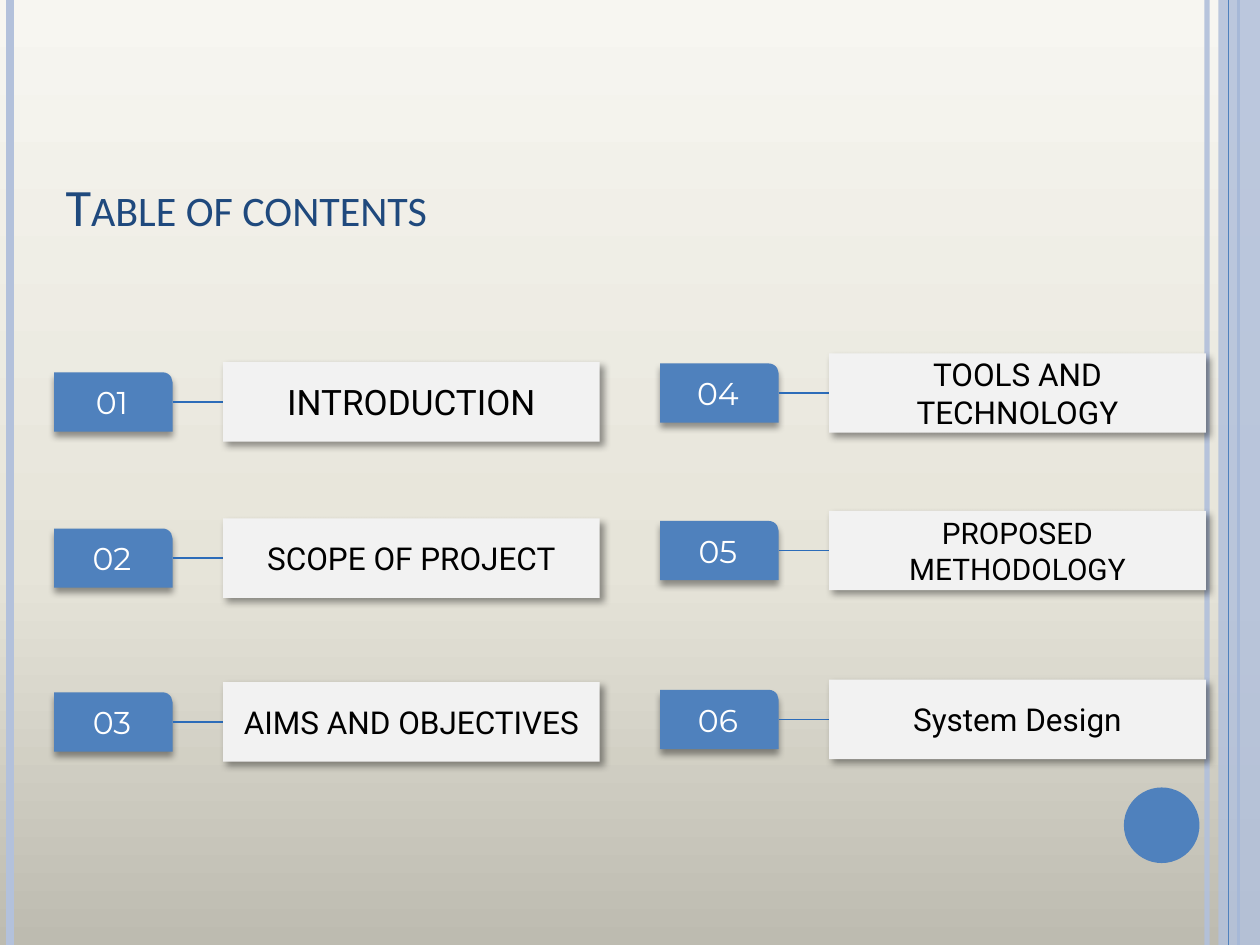
from copy import deepcopy

from pptx import Presentation
from pptx.dml.color import RGBColor
from pptx.enum import shapes as kinds, text
from pptx.oxml import parse_xml
from pptx.oxml.ns import nsdecls, qn
from pptx.util import Inches, Pt

BLUE = RGBColor(0x4F, 0x81, 0xBD)
PALE = RGBColor(0xB3, 0xC1, 0xDB)
LINK = RGBColor(0x2C, 0x6C, 0xB9)
NAVY = RGBColor(0x1F, 0x49, 0x7D)
GREY = RGBColor(0xF2, 0xF2, 0xF2)
WHITE = RGBColor(0xFF, 0xFF, 0xFF)
BLACK = RGBColor(0, 0, 0)

TITLE = "Table of contents"
# left edge of a column, then (number, topic, size, middle y) of each entry
COLUMNS = [
    (0.43, [("01", "INTRODUCTION", 20, 3.19),
            ("02", "SCOPE OF PROJECT", 18, 4.43),
            ("03", "AIMS AND OBJECTIVES", 18, 5.73)]),
    (5.24, [("04", "TOOLS AND TECHNOLOGY", 18, 3.12),
            ("05", "PROPOSED METHODOLOGY", 17, 4.37),
            ("06", "System Design", 18, 5.71)]),
]
BADGE = (0.94, 0.47)
BOX = (2.99, 0.63)
GAP = 0.4
SKY = [(0, "BDBBB0"), (0.4, "E6E4D9"), (1, "F7F6F1")]

deck = Presentation()
deck.slide_width, deck.slide_height = Inches(10), Inches(7.5)
slide = deck.slides.add_slide(deck.slide_layouts[5])
items = slide.shapes


def fade(color, alpha):
    """Make the last solid colour of an element partly transparent."""
    color.append(parse_xml(f'<a:alpha {nsdecls("a")} val="{alpha * 1000}"/>'))


def shade(shape, angle):
    """Give a shape a soft outer shadow."""
    shape._element.spPr.append(parse_xml(
        f'<a:effectLst {nsdecls("a")}><a:outerShdw blurRad="{Pt(4)}" '
        f'dist="{Pt(3)}" dir="{angle * 60000}" algn="tl" rotWithShape="0">'
        '<a:srgbClr val="000000"><a:alpha val="40000"/></a:srgbClr>'
        '</a:outerShdw></a:effectLst>'))


def add_line(x1, y1, x2, y2, color, width):
    line = items.add_connector(kinds.MSO_CONNECTOR.STRAIGHT, Inches(x1),
                               Inches(y1), Inches(x2), Inches(y2))
    line.line.color.rgb = color
    line.line.width = Pt(width)
    line._element.spPr.append(parse_xml(f'<a:effectLst {nsdecls("a")}/>'))
    return line


def add_block(kind, x, y, size, color):
    block = items.add_shape(kind, Inches(x), Inches(y), *map(Inches, size))
    block.fill.solid()
    block.fill.fore_color.rgb = color
    block.line.fill.background()
    return block


def add_label(kind, x, mid, size, fill, words, font, points, color, angle):
    """Add a shadowed block centred on mid with one centred paragraph."""
    block = add_block(kind, x, mid - size[1] / 2, size, fill)
    shade(block, angle)
    frame = block.text_frame
    frame.word_wrap = True
    frame.vertical_anchor = text.MSO_ANCHOR.MIDDLE
    para = frame.paragraphs[0]
    para.text = words
    para.alignment = text.PP_ALIGN.CENTER
    para.font.name, para.font.size = font, Pt(points)
    para.font.color.rgb = color
    return block


# Background
fill = slide.background.fill
fill.gradient()
fill.gradient_angle = 90
stops = next(slide._element.iter(qn("a:gsLst")))
stops.append(deepcopy(stops[-1]))
for stop, (place, color) in zip(fill.gradient_stops, SKY):
    stop.position = place
    stop.color.rgb = RGBColor.from_string(color)

# Side bands
edge = add_line(9.58, 0, 9.58, 7.5, PALE, 3)
fade(next(edge._element.spPr.iter(qn("a:srgbClr"))), 93)
add_line(0.08, 0, 0.08, 7.5, PALE, 4.5)
add_line(9.83, 0, 9.83, 7.5, BLUE, 1.5)
band = add_block(kinds.MSO_SHAPE.RECTANGLE, 9.67, 0, (0.33, 7.5), PALE)
fade(next(band._element.spPr.iter(qn("a:srgbClr"))), 87)
band.shadow.inherit = False
add_line(9.75, 0, 9.75, 7.5, BLUE, 0.75)
dot = add_block(kinds.MSO_SHAPE.OVAL, 8.92, 6.25, (0.6, 0.6), BLUE)
dot.shadow.inherit = False

# Title
title = items.title
title.left, title.top = Inches(0.42), Inches(0.68)
title.width, title.height = Inches(8.17), Inches(1.25)
title.text_frame.vertical_anchor = text.MSO_ANCHOR.BOTTOM
head = title.text_frame.paragraphs[0]
head.alignment = text.PP_ALIGN.LEFT
run = head.add_run()
run.text = TITLE
run.font.name, run.font.size = "Calibri", Pt(30)
run.font.color.rgb = NAVY
run._r.get_or_add_rPr().set("cap", "small")

# Entries
for left, entries in COLUMNS:
    for number, topic, points, mid in entries:
        badge = add_label(kinds.MSO_SHAPE.ROUND_1_RECTANGLE, left, mid, BADGE,
                          BLUE, number, "Montserrat", 18, WHITE, 90)
        start = left + BADGE[0]
        end = start + GAP
        link = add_line(start, mid, end, mid, LINK, 1)
        box = add_label(kinds.MSO_SHAPE.RECTANGLE, end, mid, BOX,
                        GREY, topic, "Roboto", points, BLACK, 45)
        link.begin_connect(badge, 3)
        link.end_connect(box, 1)

deck.save("out.pptx")
